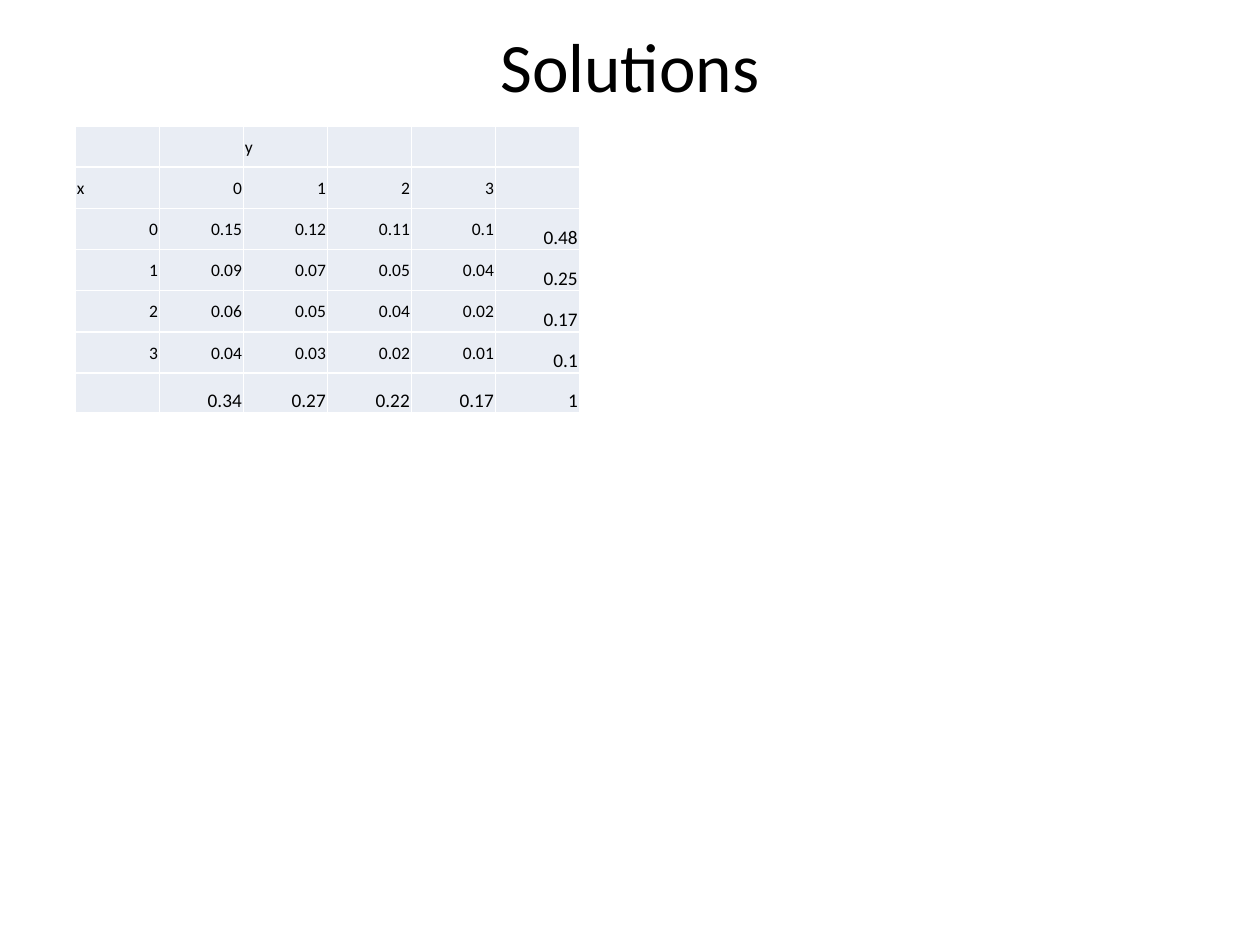
from dataclasses import dataclass

from lxml.etree import SubElement
from pptx import Presentation
from pptx.dml.color import RGBColor
from pptx.enum.text import MSO_ANCHOR, MSO_AUTO_SIZE, PP_ALIGN
from pptx.oxml.ns import qn
from pptx.util import Cm, Pt


@dataclass(frozen=True)
class Theme:
    font: str = "Calibri"
    ink: RGBColor = RGBColor(0, 0, 0)
    fill: RGBColor = RGBColor(0xE9, 0xED, 0xF4)
    rule: str = "FFFFFF"
    title: float = 39.6
    body: float = 10
    total: float = 11


ROWS = [
    ["", "", "y", "", "", ""],
    ["x", "0", "1", "2", "3", ""],
    ["0", "0.15", "0.12", "0.11", "0.1", "0.48"],
    ["1", "0.09", "0.07", "0.05", "0.04", "0.25"],
    ["2", "0.06", "0.05", "0.04", "0.02", "0.17"],
    ["3", "0.04", "0.03", "0.02", "0.01", "0.1"],
    ["", "0.34", "0.27", "0.22", "0.17", "1"],
]


class Deck:
    def __init__(self, theme):
        self.theme = theme
        self.file = Presentation()
        self.file.slide_width, self.file.slide_height = Cm(25.4), Cm(19.05)
        self.slide = self.file.slides.add_slide(self.file.slide_layouts[5])

    def style(self, para, size, align):
        para.alignment = align
        for run in para.runs:
            run.font.name = self.theme.font
            run.font.size = Pt(size)
            run.font.color.rgb = self.theme.ink

    def title(self, text, left, top, width, height):
        box = self.slide.shapes.title
        box.left, box.top, box.width, box.height = map(Cm, (left, top, width, height))
        frame = box.text_frame
        frame.text = text
        frame.auto_size = MSO_AUTO_SIZE.NONE
        frame.vertical_anchor = MSO_ANCHOR.MIDDLE
        self.style(frame.paragraphs[0], self.theme.title, PP_ALIGN.CENTER)

    def table(self, rows, left, top, width, heights):
        """Draw a joint table whose last row and column hold the totals."""
        count = len(rows[0])
        grid = self.slide.shapes.add_table(
            len(rows), count, Cm(left), Cm(top), Cm(width), Cm(sum(heights))).table
        grid.first_row = grid.horz_banding = False
        for col in grid.columns:
            col.width = Cm(width / count)
        for r, (texts, height) in enumerate(zip(rows, heights)):
            grid.rows[r].height = Cm(height)
            for c, text in enumerate(texts):
                total = r == len(rows) - 1 or c == count - 1
                self.cell(grid.cell(r, c), text, total)

    def cell(self, cell, text, total):
        size = self.theme.total if total else self.theme.body
        cell.margin_left = cell.margin_right = cell.margin_top = Cm(0.03)
        cell.margin_bottom = 0
        cell.vertical_anchor = MSO_ANCHOR.BOTTOM if total else MSO_ANCHOR.MIDDLE
        cell.text_frame.text = text
        para = cell.text_frame.paragraphs[0]
        self.style(para, size, PP_ALIGN.LEFT if text.isalpha() else PP_ALIGN.RIGHT)
        if not text:
            SubElement(para._p, qn("a:endParaRPr"), sz=str(size * 100))
        self.border(cell)
        cell.fill.solid()
        cell.fill.fore_color.rgb = self.theme.fill

    def border(self, cell):
        props = cell._tc.get_or_add_tcPr()
        for side in "LRTB":
            line = SubElement(props, qn(f"a:ln{side}"), w=str(Pt(1)))
            fill = SubElement(line, qn("a:solidFill"))
            SubElement(fill, qn("a:srgbClr"), val=self.theme.rule)


def main():
    deck = Deck(Theme())
    deck.title("Solutions", 1.27, 0.76, 22.86, 1.1)
    deck.table(ROWS, 1.52, 2.54, 10.16, [0.83] * 6 + [0.8])
    deck.file.save("out.pptx")


if __name__ == "__main__":
    main()
